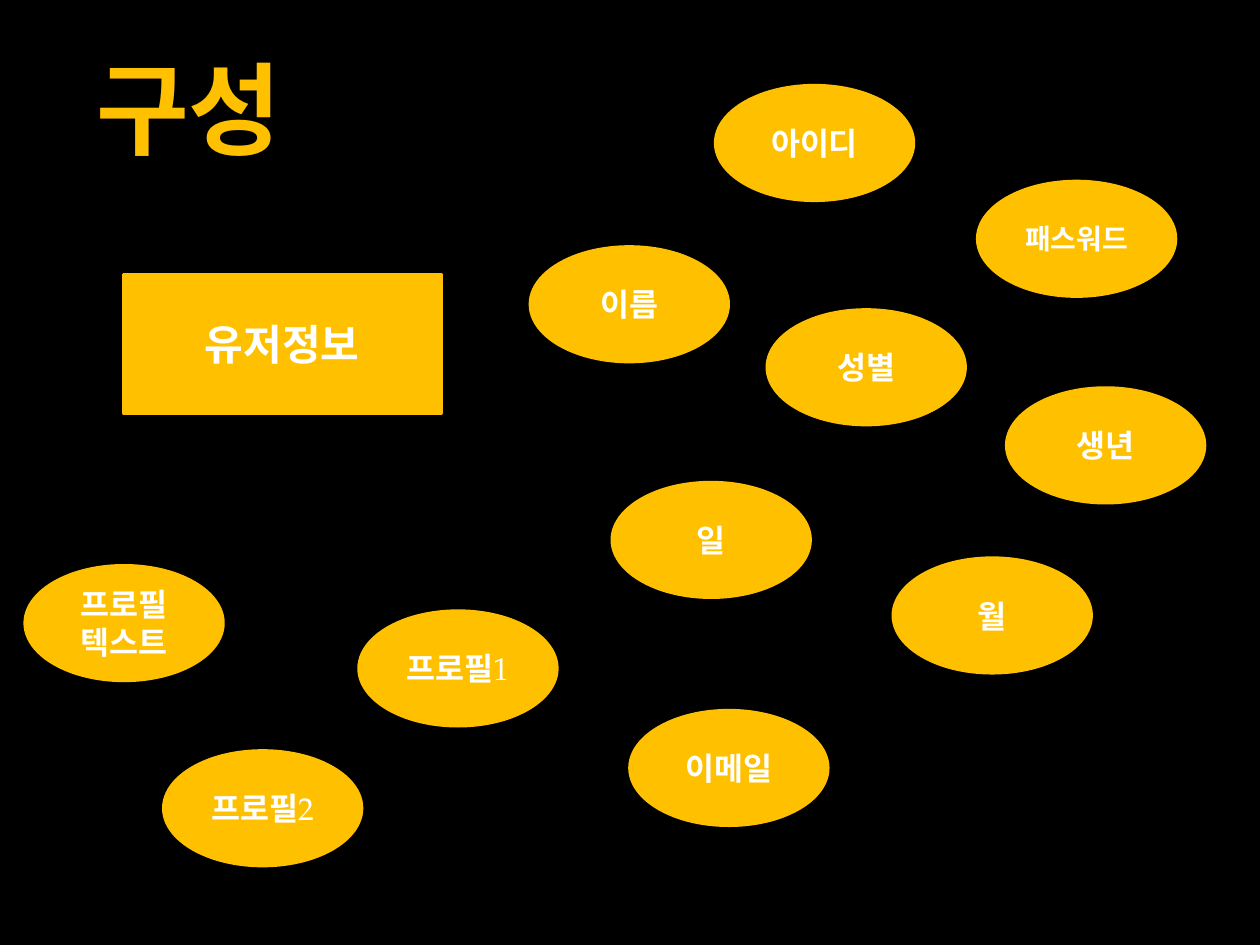
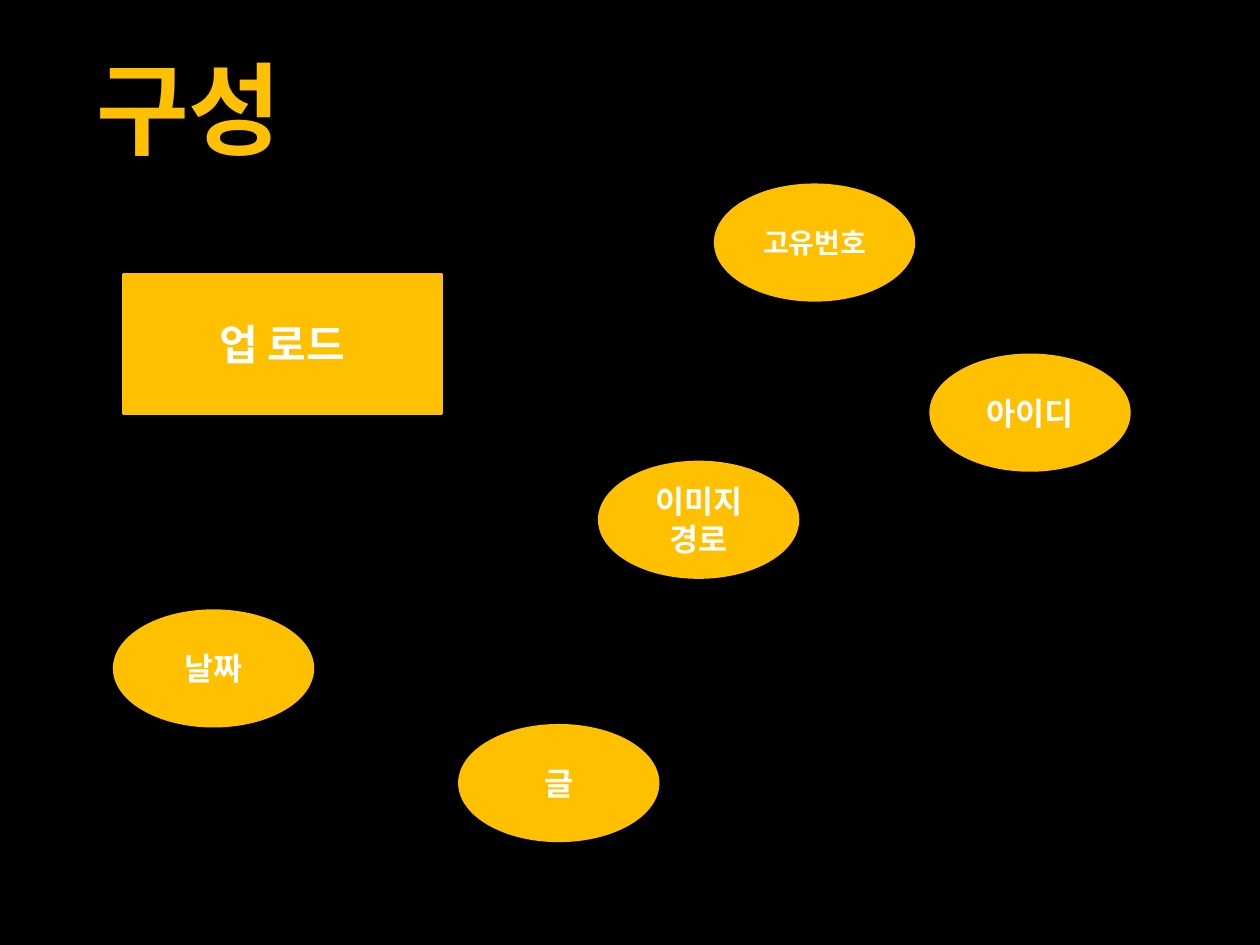
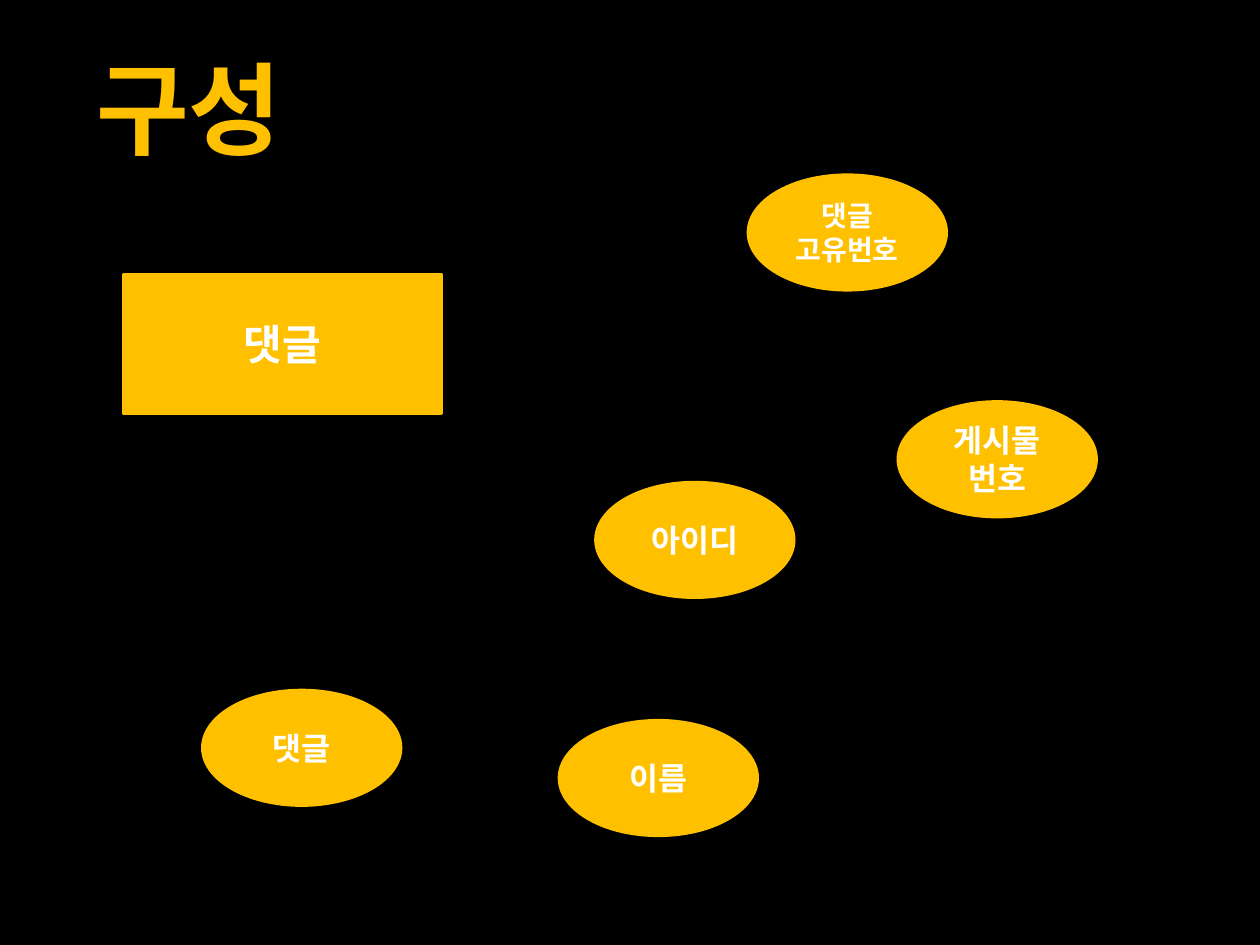
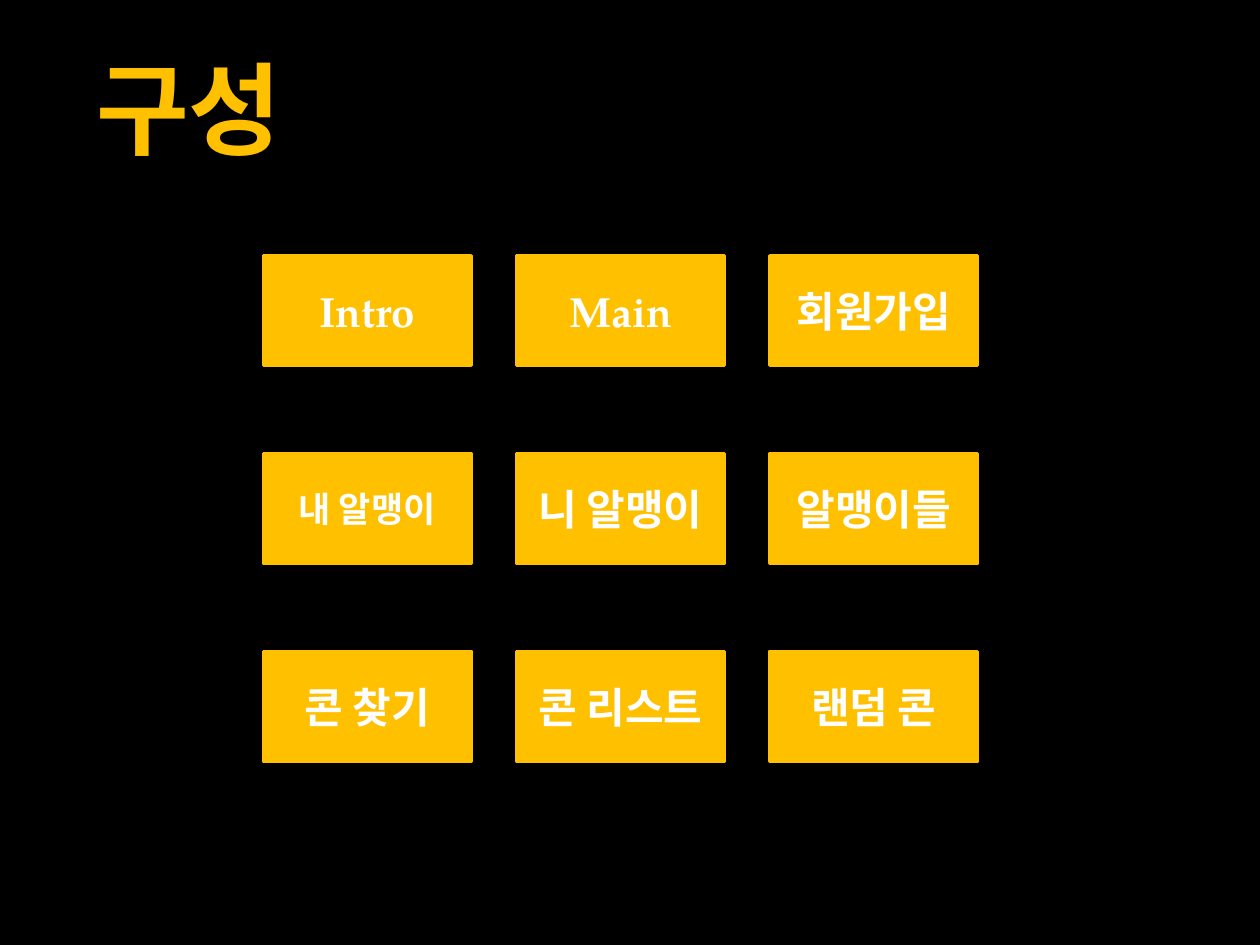
"""Build four slides that outline the data tables and pages of an app."""
from dataclasses import dataclass

from lxml.etree import SubElement
from pptx import Presentation
from pptx.dml.color import RGBColor
from pptx.enum.shapes import MSO_SHAPE as SHAPE
from pptx.enum.text import MSO_ANCHOR as ANCHOR, MSO_AUTO_SIZE as AUTO_SIZE, PP_ALIGN as ALIGN
from pptx.oxml.ns import qn
from pptx.slide import Slide
from pptx.text.text import _Paragraph as Paragraph
from pptx.util import Inches, Pt

COLORS = {"background": "000000", "accent": "FFC000", "text": "FFFFFF"}
LATIN_FONT = "TeX Gyre Pagella"
KOREAN_FONT = "Noto Sans CJK KR"
TITLE = "구성"
TITLE_ONLY = 5
FIELD_SIZE = (1.57, 0.91)
TABLE_BOX = (0.98, 2.18, 2.52, 1.1)
PAGE_SIZE = (1.65, 0.87)
PAGE_ORIGIN = (2.09, 2.03)
PAGE_STEP = (2.01, 1.57)


@dataclass(frozen=True)
class Field:
    """An oval naming one field of a table."""
    text: str
    left: float
    top: float
    size: float = 18
    number: str = ""


@dataclass(frozen=True)
class Table:
    """A data table and its fields."""
    name: str
    fields: tuple[Field, ...]


@dataclass(frozen=True)
class Page:
    """A box naming one page of the app."""
    text: str
    size: float = 24


TABLES = (
    Table("유저정보", (
        Field("아이디", 5.68, 0.68),
        Field("이름", 4.21, 1.96),
        Field("성별", 6.09, 2.46),
        Field("일", 4.86, 3.83),
        Field("생년", 7.99, 3.08),
        Field("프로필", 1.3, 5.96, number="2"),
        Field("패스워드", 7.76, 1.44, size=16),
        Field("월", 7.09, 4.43),
        Field("이메일", 5, 5.64),
        Field("프로필", 2.85, 4.85, number="1"),
        Field("프로필텍스트", 0.2, 4.49),
    )),
    Table("업 로드", (
        Field("고유번호", 5.68, 1.47, size=16),
        Field("아이디", 7.39, 2.82),
        Field("이미지 경로", 4.76, 3.67),
        Field("날짜", 0.91, 4.85),
        Field("글", 3.65, 5.76),
    )),
    Table("댓글", (
        Field("댓글\v고유번호", 5.94, 1.39, size=16),
        Field("게시물번호", 7.13, 3.19),
        Field("아이디", 4.73, 3.83),
        Field("이름", 4.44, 5.72),
        Field("댓글", 1.61, 5.48),
    )),
)

PAGES = (
    (Page("Intro"), Page("Main"), Page("회원가입")),
    (Page("내 알맹이", size=20), Page("니 알맹이"), Page("알맹이들")),
    (Page("콘 찾기"), Page("콘 리스트"), Page("랜덤 콘")),
)


def rgb(name: str) -> RGBColor:
    """Return a named colour."""
    return RGBColor.from_string(COLORS[name])


def style_paragraph(p: Paragraph, size: float, color: str, latin: str) -> None:
    """Centre a paragraph and set its bold font for both scripts."""
    p.alignment = ALIGN.CENTER
    p.font.name = latin
    p.font.size = Pt(size)
    p.font.bold = True
    p.font.color.rgb = rgb(color)
    SubElement(p._p.pPr.find(qn("a:defRPr")), qn("a:ea"), typeface=KOREAN_FONT)


def add_box(slide: Slide, kind: SHAPE, box: tuple[float, float, float, float],
            text: str, size: float, number: str = "") -> None:
    """Draw a filled shape with a centred label and an optional light number."""
    sp = slide.shapes.add_shape(kind, *map(Inches, box))
    sp.shadow.inherit = False
    sp.fill.solid()
    sp.fill.fore_color.rgb = rgb("accent")
    sp.line.color.rgb = rgb("accent")
    sp.line.width = Pt(2)
    tf = sp.text_frame
    tf.word_wrap = True
    tf.vertical_anchor = ANCHOR.MIDDLE
    p = tf.paragraphs[0]
    p.text = text
    style_paragraph(p, size, "text", LATIN_FONT)
    if number:
        r = p.add_run()
        r.text = number
        r.font.bold = False


def add_titled_slide(prs: Presentation) -> Slide:
    """Add a slide with the shared title."""
    slide = prs.slides.add_slide(prs.slide_layouts[TITLE_ONLY])
    sp = slide.shapes.title
    sp.left, sp.top, sp.width, sp.height = map(Inches, (0.35, 0.36, 2.1, 0.98))
    tf = sp.text_frame
    tf.word_wrap = True
    tf.auto_size = AUTO_SIZE.NONE
    tf.vertical_anchor = ANCHOR.MIDDLE
    p = tf.paragraphs[0]
    p.text = TITLE
    style_paragraph(p, 57.6, "accent", KOREAN_FONT)
    p._p.pPr.set("marL", str(Inches(0.2)))
    p._p.pPr.set("indent", "0")
    return slide


def add_table_slide(prs: Presentation, table: Table) -> None:
    """Add a slide with a table name and its scattered fields."""
    slide = add_titled_slide(prs)
    add_box(slide, SHAPE.RECTANGLE, TABLE_BOX, table.name, 24)
    for field in table.fields:
        add_box(slide, SHAPE.OVAL, (field.left, field.top, *FIELD_SIZE),
                field.text, field.size, field.number)


def add_pages_slide(prs: Presentation) -> None:
    """Add a slide with the grid of pages."""
    slide = add_titled_slide(prs)
    for row, pages in enumerate(PAGES):
        for col, page in enumerate(pages):
            left = PAGE_ORIGIN[0] + col * PAGE_STEP[0]
            top = PAGE_ORIGIN[1] + row * PAGE_STEP[1]
            add_box(slide, SHAPE.RECTANGLE, (left, top, *PAGE_SIZE), page.text, page.size)


def main() -> None:
    """Build and save the presentation."""
    prs = Presentation()
    prs.slide_width, prs.slide_height = Inches(10), Inches(7.5)
    fill = prs.slide_master.background.fill
    fill.solid()
    fill.fore_color.rgb = rgb("background")
    for table in TABLES:
        add_table_slide(prs, table)
    add_pages_slide(prs)
    prs.save("out.pptx")


if __name__ == "__main__":
    main()
